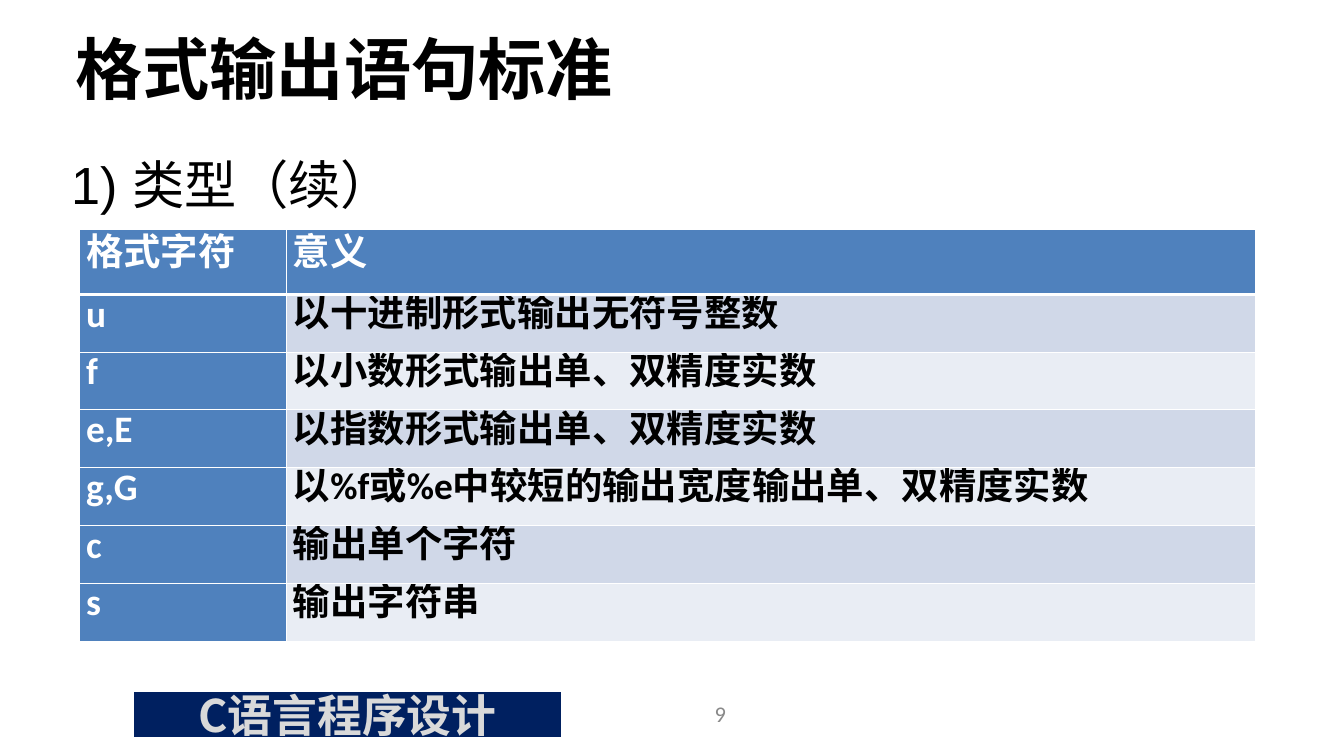
import pptx
import pptx.dml.color
import pptx.enum.shapes
import pptx.enum.text
import pptx.oxml.ns
import pptx.util
from lxml import etree

WIDTH = 10
HEIGHT = WIDTH * 9 / 16
EAST_ASIAN_FONT = "Noto Sans CJK SC"
WHITE, BLACK, NAVY, BLUE = "FFFFFF", "000000", "002060", "4F81BD"
BANDS = ("D0D8E8", "E9EDF4")
ALIGN = pptx.enum.text.PP_ALIGN
ANCHOR = pptx.enum.text.MSO_ANCHOR

COLUMN_WIDTHS = (1.54, 7.21)
HEADER_HEIGHT, ROW_HEIGHT = 0.48, 0.43
ROWS = (
    ("格式字符", "意义"),
    ("u", "以十进制形式输出无符号整数"),
    ("f", "以小数形式输出单、双精度实数"),
    ("e,E", "以指数形式输出单、双精度实数"),
    ("g,G", "以%f或%e中较短的输出宽度输出单、双精度实数"),
    ("c", "输出单个字符"),
    ("s", "输出字符串"),
)


def rgb(value):
    return pptx.dml.color.RGBColor.from_string(value)


def box(left, top, width, height):
    """Turn shares of the slide into lengths."""
    return [pptx.util.Inches(share * side) for share, side in
            zip((left, top, width, height), (WIDTH, HEIGHT, WIDTH, HEIGHT))]


def write(text_frame, text, size, color, font="Calibri", bold=False, align=ALIGN.LEFT):
    text_frame.text = text
    paragraph = text_frame.paragraphs[0]
    paragraph.alignment = align
    paragraph.space_before = pptx.util.Pt(0)
    for run in paragraph.runs:
        run.font.size = pptx.util.Pt(size)
        run.font.bold = bold
        run.font.color.rgb = rgb(color)
        run.font.name = font
        east_asian = etree.SubElement(run.font._element, pptx.oxml.ns.qn("a:ea"))
        east_asian.set("typeface", EAST_ASIAN_FONT)
    return paragraph


def fill_placeholder(shape, area, text, size, bold=False):
    shape.left, shape.top, shape.width, shape.height = box(*area)
    text_frame = shape.text_frame
    paragraph = write(text_frame, text, size, BLACK, "Arial", bold)
    text_frame.vertical_anchor = ANCHOR.TOP
    text_frame.margin_right = 0
    text_frame.auto_size = pptx.enum.text.MSO_AUTO_SIZE.NONE
    # Plain line without bullet or hanging indent
    properties = paragraph._p.get_or_add_pPr()
    properties.set("marL", "0")
    properties.set("indent", "0")
    etree.SubElement(properties, pptx.oxml.ns.qn("a:buNone"))


def add_banner(slide, area, text):
    shape = slide.shapes.add_shape(pptx.enum.shapes.MSO_SHAPE.RECTANGLE, *box(*area))
    shape.shadow.inherit = False
    shape.fill.solid()
    shape.fill.fore_color.rgb = rgb(NAVY)
    shape.line.color.rgb = rgb(NAVY)
    shape.line.width = pptx.util.Pt(2)
    # Sharp outline corners
    miter = etree.SubElement(shape.line._get_or_add_ln(), pptx.oxml.ns.qn("a:miter"))
    miter.set("lim", "800000")
    shape.text_frame.vertical_anchor = ANCHOR.MIDDLE
    write(shape.text_frame, text, 24, "D9D9D9", EAST_ASIAN_FONT, True, ALIGN.CENTER)


def add_page_number(slide, area, text):
    text_frame = slide.shapes.add_textbox(*box(*area)).text_frame
    text_frame.word_wrap = True
    text_frame.vertical_anchor = ANCHOR.MIDDLE
    write(text_frame, text, 12, "898989", align=ALIGN.RIGHT)


def set_borders(cell, widths):
    properties = cell._tc.get_or_add_tcPr()
    for side, width in zip("LRTB", widths):
        line = etree.SubElement(properties, pptx.oxml.ns.qn(f"a:ln{side}"))
        line.set("w", str(int(pptx.util.Pt(width))))
        solid = etree.SubElement(line, pptx.oxml.ns.qn("a:solidFill"))
        etree.SubElement(solid, pptx.oxml.ns.qn("a:srgbClr")).set("val", WHITE)


def format_cell(cell, text, row, column):
    is_heading = row == 0 or column == 0
    thin, thick = 0.45, 1.47
    set_borders(cell, (thin, thin, thick if row == 1 else thin, thick if row == 0 else thin))
    cell.fill.solid()
    cell.fill.fore_color.rgb = rgb(BLUE if is_heading else BANDS[(row - 1) % 2])
    cell.vertical_anchor = ANCHOR.MIDDLE
    cell.margin_left = cell.margin_right = pptx.util.Inches(0.05)
    cell.margin_top = cell.margin_bottom = pptx.util.Inches(0.05)
    paragraph = write(cell.text_frame, text, 20, WHITE if is_heading else BLACK, bold=True)
    paragraph.line_spacing = pptx.util.Pt(15)


def add_format_table(slide, left, top):
    height = HEADER_HEIGHT + ROW_HEIGHT * (len(ROWS) - 1)
    area = box(left, top, sum(COLUMN_WIDTHS) / WIDTH, height / HEIGHT)
    table = slide.shapes.add_table(len(ROWS), len(COLUMN_WIDTHS), *area).table
    for column, width in zip(table.columns, COLUMN_WIDTHS):
        column.width = pptx.util.Inches(width)
    for row_index, texts in enumerate(ROWS):
        row_height = ROW_HEIGHT if row_index else HEADER_HEIGHT
        table.rows[row_index].height = pptx.util.Inches(row_height)
        for column_index, text in enumerate(texts):
            format_cell(table.cell(row_index, column_index), text, row_index, column_index)


def main():
    presentation = pptx.Presentation()
    presentation.slide_width = pptx.util.Inches(WIDTH)
    presentation.slide_height = pptx.util.Inches(HEIGHT)
    slide = presentation.slides.add_slide(presentation.slide_layouts[1])

    # Title and subheading
    title, body = slide.placeholders
    fill_placeholder(title, (0.046, 0.15 / HEIGHT, 0.42, 0.7 / HEIGHT),
                     "格式输出语句标准", 36, bold=True)
    fill_placeholder(body, (0.043, 1.08 / HEIGHT, 0.898, 0.57 / HEIGHT), "1) 类型（续）", 28)

    # Format characters and their meanings
    add_format_table(slide, 0.059, 1.71 / HEIGHT)

    # Footer
    add_banner(slide, (0.101, 5.16 / HEIGHT, 0.315, 0.31 / HEIGHT), "C语言程序设计")
    add_page_number(slide, (0.5, 5.13 / HEIGHT, 0.05, 0.36 / HEIGHT), "9")

    presentation.save("out.pptx")


if __name__ == "__main__":
    main()
